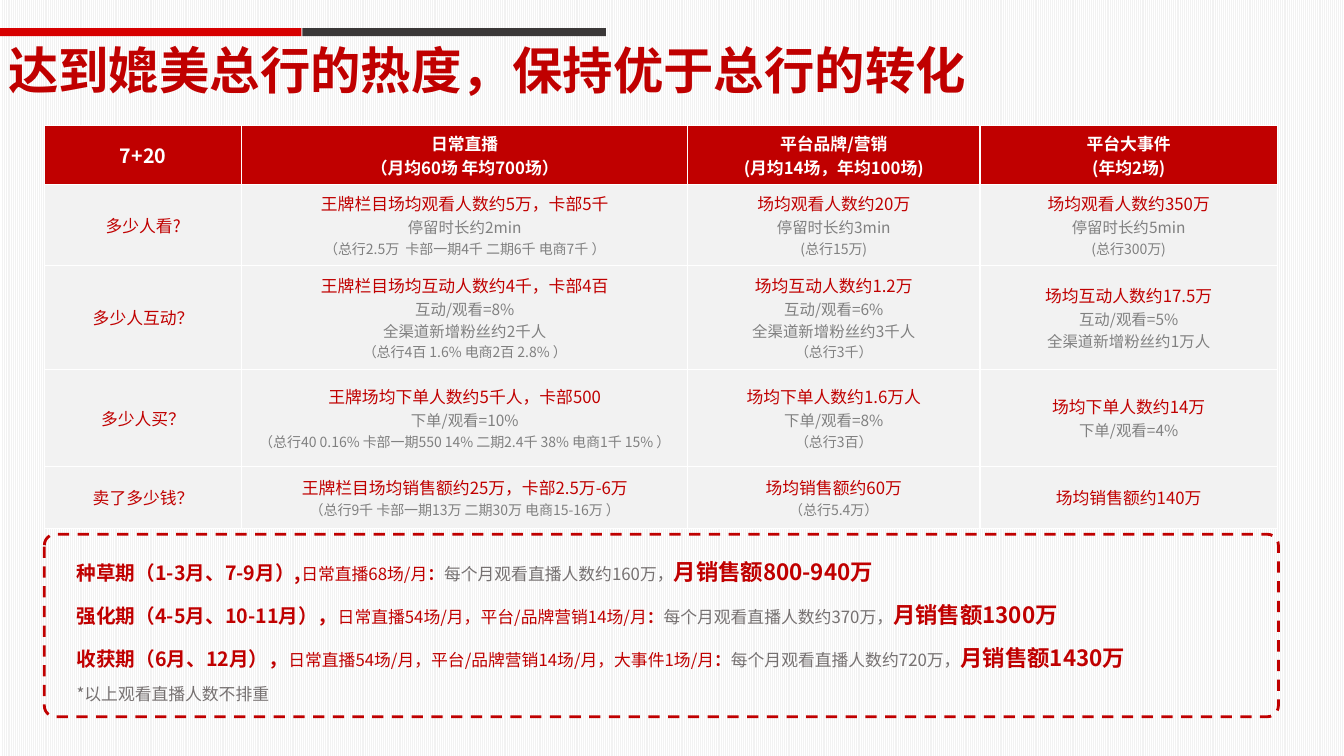
from dataclasses import dataclass

from lxml.etree import SubElement
from pptx import Presentation
from pptx.dml.color import RGBColor
from pptx.enum.dml import MSO_LINE, MSO_PATTERN
from pptx.enum.shapes import MSO_SHAPE
from pptx.enum.text import MSO_ANCHOR, MSO_AUTO_SIZE, PP_ALIGN
from pptx.oxml.ns import qn
from pptx.util import Inches, Pt


@dataclass(frozen=True)
class Style:
    """Size, colour and weight of a piece of text."""
    size: int
    color: str
    bold: bool = False


class Theme:
    """Colours, fonts and type sizes of the slide."""
    red, bright_red, charcoal = "C00000", "D70000", "3B3838"
    white, pale = "FFFFFF", "F2F2F2"
    title_font, text_font = "Montserrat", "Noto Sans CJK SC"
    title = Style(36, red, True)
    corner = Style(14, white, True)
    header = Style(12, white, True)
    lead = Style(12, red)
    detail = Style(11, "808080")
    aside = Style(10, "808080")
    period = Style(14, red, True)
    colon = Style(12, red, True)
    audience = Style(12, "767171")
    sales = Style(16, red, True)


class Page:
    """Draws on one slide laid out on a grid of 100 columns and 100 rows."""

    def __init__(self, deck, theme):
        """Add a title and content slide with a striped background."""
        self.theme = theme
        self.column, self.row = deck.slide_width / 100, deck.slide_height / 100
        self.slide = deck.slides.add_slide(deck.slide_layouts[1])
        fill = self.slide.background.fill
        fill.patterned()
        fill.pattern = MSO_PATTERN.NARROW_VERTICAL
        fill.fore_color.rgb = RGBColor.from_string(theme.pale)
        fill.back_color.rgb = RGBColor.from_string(theme.white)

    def area(self, left, top, width, height):
        """Turn grid columns and rows into slide lengths."""
        return (round(left * self.column), round(top * self.row),
                round(width * self.column), round(height * self.row))

    def format(self, span, style, latin=Theme.text_font):
        """Give a run its font, size, colour and weight."""
        font = span.font
        font.size, font.bold, font.name = Pt(style.size), style.bold, latin
        font.color.rgb = RGBColor.from_string(style.color)
        SubElement(font._element, qn("a:ea")).set("typeface", self.theme.text_font)

    def place(self, box, area, anchor):
        """Move a placeholder and set how it holds its text."""
        box.left, box.top, box.width, box.height = self.area(*area)
        frame = box.text_frame
        frame.word_wrap, frame.vertical_anchor = True, anchor
        frame.auto_size = MSO_AUTO_SIZE.SHAPE_TO_FIT_TEXT
        return frame

    def title(self, text, area):
        """Fill the title placeholder."""
        frame = self.place(self.slide.shapes.title, area, MSO_ANCHOR.MIDDLE)
        frame.text = text
        para = frame.paragraphs[0]
        para.alignment = PP_ALIGN.LEFT
        self.format(para.runs[0], self.theme.title, self.theme.title_font)

    def body(self, lines, area):
        """Fill the body placeholder with lines of styled spans."""
        frame = self.place(self.slide.placeholders[1], area, MSO_ANCHOR.TOP)
        for index, line in enumerate(lines):
            para = frame.add_paragraph() if index else frame.paragraphs[0]
            properties = para._p.get_or_add_pPr()
            properties.set("marL", "0")
            properties.set("indent", "0")
            SubElement(properties, qn("a:buNone"))
            para.line_spacing, para.space_before = 1.6, Pt(0)
            for text, style in line:
                span = para.add_run()
                span.text = text
                self.format(span, style)

    def bar(self, area, color):
        """Draw a plain filled bar."""
        shape = self.slide.shapes.add_shape(MSO_SHAPE.RECTANGLE, *self.area(*area))
        shape.shadow.inherit = False
        shape.fill.solid()
        shape.fill.fore_color.rgb = RGBColor.from_string(color)
        shape.line.fill.background()

    def dashed_frame(self, area):
        """Draw an unfilled rounded frame with a dashed outline."""
        shape = self.slide.shapes.add_shape(MSO_SHAPE.ROUNDED_RECTANGLE, *self.area(*area))
        shape.shadow.inherit = False
        shape.adjustments[0] = 0.06
        shape.fill.background()
        shape.line.color.rgb = RGBColor.from_string(self.theme.red)
        shape.line.width, shape.line.dash_style = Pt(2), MSO_LINE.DASH

    def cell_style(self, row, column, index, text):
        """Pick the text style from the place of a line in the table."""
        if row == 0:
            return self.theme.header if column else self.theme.corner
        if index == 0:
            return self.theme.lead
        return self.theme.aside if text[0] in "（(" else self.theme.detail

    def cell(self, cell, row, column, text):
        """Fill, border and write one table cell."""
        properties = cell._tc.get_or_add_tcPr()
        for side in ("lnL", "lnR", "lnT", "lnB"):
            border = SubElement(properties, qn(f"a:{side}"), w=str(Pt(1)))
            solid = SubElement(border, qn("a:solidFill"))
            SubElement(solid, qn("a:srgbClr"), val=self.theme.white)
        cell.fill.solid()
        color = self.theme.pale if row else self.theme.red
        cell.fill.fore_color.rgb = RGBColor.from_string(color)
        cell.vertical_anchor = MSO_ANCHOR.MIDDLE
        cell.text_frame.text = text
        for index, para in enumerate(cell.text_frame.paragraphs):
            para.alignment = PP_ALIGN.CENTER
            self.format(para.runs[0], self.cell_style(row, column, index, para.text))

    def table(self, rows, left, top, widths, heights):
        """Draw the table of targets."""
        area = self.area(left, top, sum(widths), sum(heights))
        table = self.slide.shapes.add_table(len(rows), len(widths), *area).table
        for column, width in zip(table.columns, widths):
            column.width = round(width * self.column)
        for row, height in zip(table.rows, heights):
            row.height = round(height * self.row)
        for row, texts in enumerate(rows):
            for column, text in enumerate(texts):
                self.cell(table.cell(row, column), row, column, text)


TARGETS = [
    ["7+20", "日常直播\n（月均60场 年均700场）",
     "平台品牌/营销\n(月均14场，年均100场)", "平台大事件\n(年均2场)"],
    ["多少人看?",
     "王牌栏目场均观看人数约5万，卡部5千\n停留时长约2min\n（总行2.5万  卡部一期4千 二期6千 电商7千 ）",
     "场均观看人数约20万\n停留时长约3min\n(总行15万)",
     "场均观看人数约350万\n停留时长约5min\n(总行300万)"],
    ["多少人互动？",
     "王牌栏目场均互动人数约4千，卡部4百\n互动/观看=8%\n全渠道新增粉丝约2千人\n（总行4百 1.6% 电商2百 2.8% ）",
     "场均互动人数约1.2万\n互动/观看=6%\n全渠道新增粉丝约3千人\n（总行3千）",
     "场均互动人数约17.5万\n互动/观看=5%\n全渠道新增粉丝约1万人"],
    ["多少人买？",
     "王牌场均下单人数约5千人，卡部500\n下单/观看=10%\n"
     "（总行40 0.16% 卡部一期550 14% 二期2.4千 38% 电商1千 15% ）",
     "场均下单人数约1.6万人\n下单/观看=8%\n（总行3百）",
     "场均下单人数约14万\n下单/观看=4%"],
    ["卖了多少钱？",
     "王牌栏目场均销售额约25万，卡部2.5万-6万\n（总行9千 卡部一期13万 二期30万 电商15-16万 ）",
     "场均销售额约60万\n（总行5.4万）", "场均销售额约140万"],
]
SEASON_STYLES = (Theme.period, Theme.lead, Theme.colon, Theme.audience, Theme.sales)
SEASONS = [
    ("种草期（1-3月、7-9月）,", "日常直播68场/月", "：",
     "每个月观看直播人数约160万，", "月销售额800-940万"),
    ("强化期（4-5月、10-11月），", "日常直播54场/月，平台/品牌营销14场/月", "：",
     "每个月观看直播人数约370万，", "月销售额1300万"),
    ("收获期（6月、12月），", "日常直播54场/月，平台/品牌营销14场/月，大事件1场/月", "：",
     "每个月观看直播人数约720万，", "月销售额1430万"),
]


def main():
    """Build and save the slide."""
    deck = Presentation()
    deck.slide_width, deck.slide_height = Inches(13.33), Inches(7.5)
    page = Page(deck, Theme)
    for index, color in enumerate((Theme.bright_red, Theme.charcoal)):
        page.bar((22.65 * index - 0.15, 3.73, 22.58, 1.07), color)
    page.table(TARGETS, 3.3, 16.6, (14.7, 33.16, 21.76, 22.13),
               (7.8, 10.7, 13.75, 12.85, 8.2))
    page.title("达到媲美总行的热度，保持优于总行的转化", (-0.15, 4.4, 79.82, 9.47))
    lines = [list(zip(season, SEASON_STYLES)) for season in SEASONS]
    lines.append([("*以上观看直播人数不排重", Theme.audience)])
    page.body(lines, (4.95, 71.07, 82.75, 22.93))
    page.dashed_frame((3.3, 70.67, 91.82, 24.13))
    deck.save("out.pptx")


if __name__ == "__main__":
    main()
